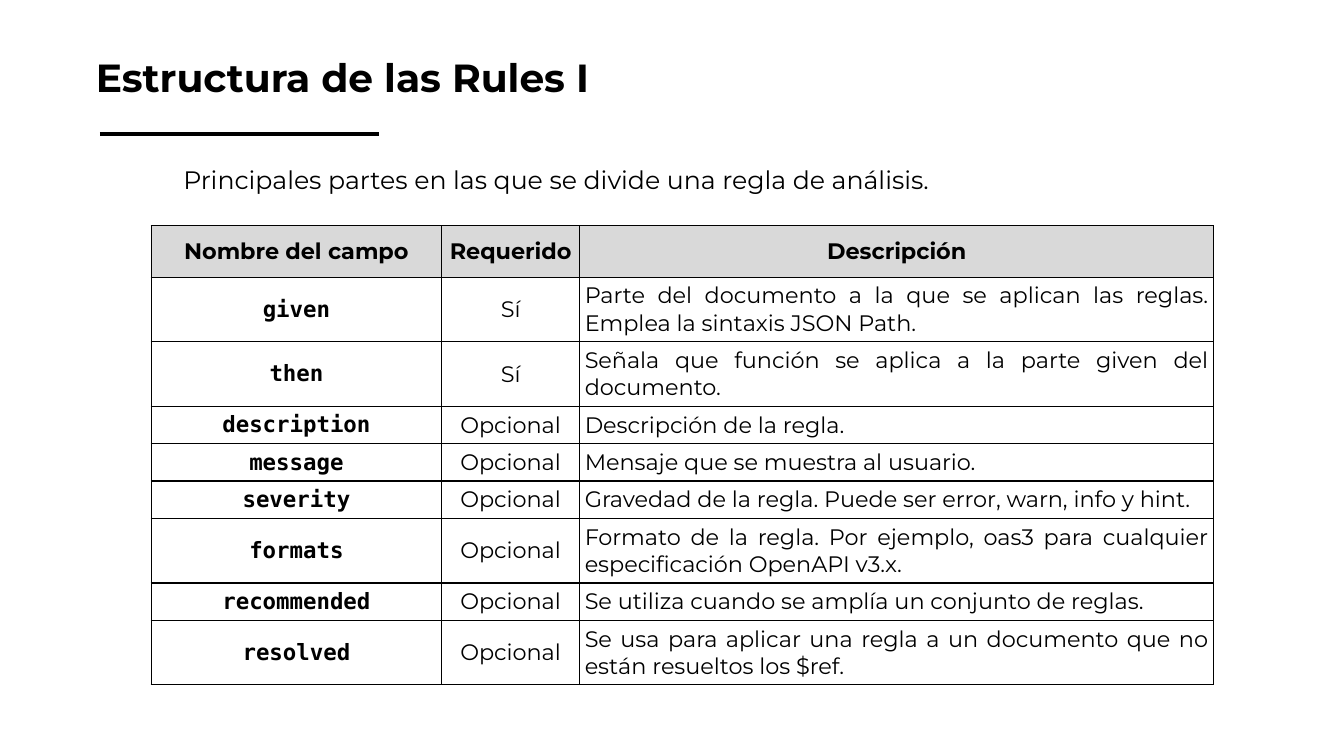
from dataclasses import dataclass

from lxml.etree import SubElement
from pptx import Presentation
from pptx.dml.color import RGBColor
from pptx.enum.shapes import MSO_CONNECTOR as Connector
from pptx.enum.text import MSO_ANCHOR as Anchor, MSO_AUTO_SIZE as AutoSize, PP_ALIGN as Align
from pptx.oxml.ns import qn
from pptx.util import Inches, Pt

COLORS = {"text": "000000", "header": "D9D9D9", "cell": "FFFFFF"}
SANS, MONO = "Montserrat", "DejaVu Sans Mono"
COLUMN_WIDTHS = (2.88, 1.37, 6.29)
HEADER_HEIGHT, ONE_LINE_HEIGHT, TWO_LINE_HEIGHT = 0.51, 0.36, 0.63
MARGINS = ("margin_left", "margin_top", "margin_right", "margin_bottom")


@dataclass(frozen=True)
class TextFormat:
    size: int
    font: str = SANS
    bold: bool = False
    align: Align = Align.LEFT


@dataclass(frozen=True)
class RuleField:
    name: str
    required: str
    description: str
    height: float = ONE_LINE_HEIGHT


HEADINGS = ("Nombre del campo", "Requerido", "Descripción")
HEADING_FORMAT = TextFormat(16, bold=True, align=Align.CENTER)
FIELD_FORMATS = (
    TextFormat(16, MONO, True, Align.CENTER),
    TextFormat(16, align=Align.CENTER),
    TextFormat(16, align=Align.JUSTIFY),
)
FIELDS = (
    RuleField("given", "Sí", "Parte del documento a la que se aplican las reglas. "
              "Emplea la sintaxis JSON Path.", TWO_LINE_HEIGHT),
    RuleField("then", "Sí", "Señala que función se aplica a la parte given del documento.",
              TWO_LINE_HEIGHT),
    RuleField("description", "Opcional", "Descripción de la regla."),
    RuleField("message", "Opcional", "Mensaje que se muestra al usuario."),
    RuleField("severity", "Opcional", "Gravedad de la regla. Puede ser error, warn, info y hint."),
    RuleField("formats", "Opcional", "Formato de la regla. Por ejemplo, oas3 para cualquier "
              "especificación OpenAPI v3.x.", TWO_LINE_HEIGHT),
    RuleField("recommended", "Opcional", "Se utiliza cuando se amplía un conjunto de reglas."),
    RuleField("resolved", "Opcional", "Se usa para aplicar una regla a un documento que no "
              "están resueltos los $ref.", TWO_LINE_HEIGHT),
)


def rgb(name: str) -> RGBColor:
    return RGBColor.from_string(COLORS[name])


def set_attributes(target, values: dict) -> None:
    for attribute, value in values.items():
        setattr(target, attribute, value)


def write_text(frame, text: str, style: TextFormat):
    paragraph = frame.paragraphs[0]
    paragraph.alignment = style.align
    run = paragraph.add_run()
    run.text = text
    set_attributes(run.font, {"name": style.font, "size": Pt(style.size), "bold": style.bold})
    run.font.color.rgb = rgb("text")
    return paragraph


def add_borders(cell) -> None:
    properties = cell._tc.get_or_add_tcPr()
    for side in ("lnL", "lnR", "lnT", "lnB"):
        border = SubElement(properties, qn(f"a:{side}"), w=str(Pt(1)))
        fill = SubElement(border, qn("a:solidFill"))
        SubElement(fill, qn("a:srgbClr"), val=COLORS["text"])


def fill_cell(cell, text: str, style: TextFormat, background: str) -> None:
    add_borders(cell)
    cell.fill.solid()
    cell.fill.fore_color.rgb = rgb(background)
    set_attributes(cell, {"vertical_anchor": Anchor.MIDDLE,
                          **dict.fromkeys(MARGINS, Inches(0.05))})
    write_text(cell.text_frame, text, style)


def add_title(slide) -> None:
    title = slide.shapes.title
    set_attributes(title, {"left": Inches(0.82), "top": Inches(0.32),
                           "width": Inches(8.75), "height": Inches(0.81)})
    set_attributes(title.text_frame, {
        "word_wrap": True, "auto_size": AutoSize.NONE, "vertical_anchor": Anchor.MIDDLE,
        **dict.fromkeys(MARGINS, Inches(0.13))})
    heading = write_text(title.text_frame, "Estructura de las Rules I", TextFormat(28, bold=True))
    heading.line_spacing = 1.15


def add_title_rule(slide) -> None:
    rule = slide.shapes.add_connector(
        Connector.STRAIGHT, Inches(0.99), Inches(1.33), Inches(3.76), Inches(1.33))
    rule.line.width = Pt(3)
    rule.line.color.rgb = rgb("text")
    SubElement(rule._element.spPr, qn("a:effectLst"))


def add_introduction(slide) -> None:
    introduction = slide.shapes.add_textbox(
        Inches(1.72), Inches(1.58), Inches(9.89), Inches(0.4))
    introduction.text_frame.word_wrap = True
    write_text(introduction.text_frame,
               "Principales partes en las que se divide una regla de análisis.", TextFormat(18))


def add_field_table(slide) -> None:
    heights = [HEADER_HEIGHT, *(field.height for field in FIELDS)]
    table = slide.shapes.add_table(
        len(heights), len(HEADINGS), Inches(1.5), Inches(2.24),
        Inches(sum(COLUMN_WIDTHS)), Inches(sum(heights))).table
    set_attributes(table, {"first_row": False, "horz_banding": False})
    for column, width in zip(table.columns, COLUMN_WIDTHS):
        column.width = Inches(width)
    for row, height in zip(table.rows, heights):
        row.height = Inches(height)
    for column, heading in enumerate(HEADINGS):
        fill_cell(table.cell(0, column), heading, HEADING_FORMAT, "header")
    for row, field in enumerate(FIELDS, start=1):
        values = (field.name, field.required, field.description)
        for column, (value, style) in enumerate(zip(values, FIELD_FORMATS)):
            fill_cell(table.cell(row, column), value, style, "cell")


def main() -> None:
    presentation = Presentation()
    set_attributes(presentation, {"slide_width": Inches(13.33), "slide_height": Inches(7.5)})
    slide = presentation.slides.add_slide(presentation.slide_layouts.get_by_name("Title Only"))
    add_title_rule(slide)
    add_title(slide)
    add_field_table(slide)
    add_introduction(slide)
    presentation.save("out.pptx")


if __name__ == "__main__":
    main()
